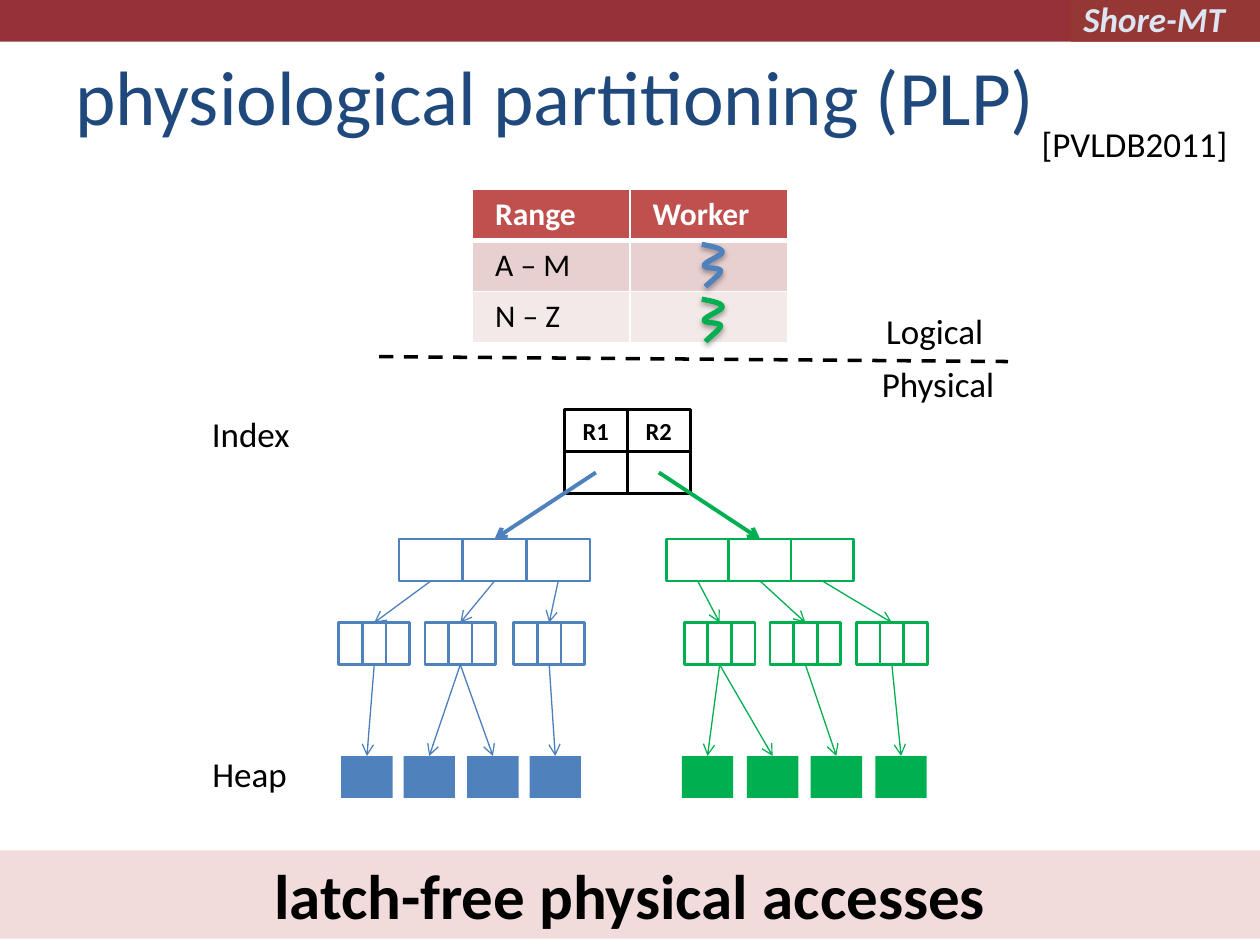
from lxml.etree import SubElement
from pptx import Presentation
from pptx.dml.color import RGBColor
from pptx.enum.dml import MSO_LINE
from pptx.enum.shapes import MSO_CONNECTOR, MSO_SHAPE
from pptx.enum.text import MSO_ANCHOR, PP_ALIGN
from pptx.oxml import parse_xml
from pptx.oxml.ns import nsdecls, qn
from pptx.util import Pt

FONT = "Calibri"
COLORS = {
    "bar": "963237", "badge": "953735", "badge_text": "DCE6F2",
    "title": "1F497D", "black": "000000", "white": "FFFFFF",
    "header": "C0504D", "odd_row": "E8D0D0", "even_row": "F4E9E9",
    "blue": "4F81BD", "blue_link": "4B7EBC", "green": "00B050",
    "band": "F2DCDB",
}
BOX_HEIGHT = 24
ROOT_LEFT, ROOT_TOP, ROOT_CELL = 322.5, 234, 36
NODE_TOP, LEAF_TOP, HEAP_TOP = 308, 355.8, 432
LEAF_CELL, PAGE_WIDTH = 13.5, 29.4

# Each partition: its index node, its leaves, its heap pages and the leaf owning each page
PARTITIONS = [
    {"color": "blue", "link": "blue_link", "node": 228, "cell": 36.4,
     "leaves": [193.6, 242.8, 293.6], "pages": [195, 230.6, 267, 302.6],
     "owners": [0, 1, 1, 2]},
    {"color": "green", "link": "green", "node": 380.9, "cell": 35.6,
     "leaves": [391, 440, 489.4], "pages": [389.6, 426.8, 463.2, 500.2],
     "owners": [0, 0, 1, 2]},
]

# Worker thread: Bezier pieces as offsets from the starting point
THREAD = [
    [(0, 0), (6, 1.1), (11.7, 2.2), (11.7, 4.4)],
    [(11.7, 4.4), (11.7, 6.4), (1.5, 10), (1.4, 12)],
    [(1.4, 12), (1.4, 14), (10.5, 13), (10.8, 15.1)],
    [(10.8, 15.1), (10.8, 17.2), (3.6, 22.3), (2.2, 24.2)],
]


def rgb(name):
    return RGBColor.from_string(COLORS[name])


def add_words(frame, words, size, color="black", bold=False, italic=False, align=None):
    paragraph = frame.paragraphs[0]
    if align is not None:
        paragraph.alignment = align
    run = paragraph.add_run()
    run.text = words
    font = run.font
    font.name, font.size, font.bold, font.italic = FONT, Pt(size), bold, italic
    font.color.rgb = rgb(color)


def add_label(slide, left, top, width, height, words, size=20, wrap=False,
              anchor=MSO_ANCHOR.TOP, **style):
    label = slide.shapes.add_textbox(Pt(left), Pt(top), Pt(width), Pt(height))
    label.text_frame.word_wrap = wrap
    label.text_frame.vertical_anchor = anchor
    add_words(label.text_frame, words, size, **style)


def add_box(slide, left, top, width, height, fill=None, line=None):
    box = slide.shapes.add_shape(MSO_SHAPE.RECTANGLE, Pt(left), Pt(top), Pt(width), Pt(height))
    box.shadow.inherit = False
    if fill:
        box.fill.solid()
        box.fill.fore_color.rgb = rgb(fill)
    else:
        box.fill.background()
    if line:
        box.line.color.rgb = rgb(line)
        box.line.width = Pt(1.5)
    else:
        box.line.fill.background()
    return box


def add_cells(slide, left, top, cell, color):
    for i in range(3):
        add_box(slide, left + i * cell, top, cell, BOX_HEIGHT, line=color)


def add_line(slide, start, end, color, width, arrow=True):
    line = slide.shapes.add_connector(
        MSO_CONNECTOR.STRAIGHT, Pt(start[0]), Pt(start[1]), Pt(end[0]), Pt(end[1]))
    line.line.color.rgb = rgb(color)
    line.line.width = Pt(width)
    if arrow:
        SubElement(line.line._get_or_add_ln(), qn("a:tailEnd"), type="arrow")
    else:
        line.line.dash_style = MSO_LINE.DASH
    SubElement(line._element.spPr, qn("a:effectLst"))


def bezier(points, t):
    weights = ((1 - t) ** 3, 3 * t * (1 - t) ** 2, 3 * t ** 2 * (1 - t), t ** 3)
    return tuple(sum(w * p[axis] for w, p in zip(weights, points)) for axis in (0, 1))


def add_thread(slide, left, top, color):
    steps = 10
    curve = [bezier(piece, i / steps) for piece in THREAD for i in range(1, steps + 1)]
    builder = slide.shapes.build_freeform(Pt(left), Pt(top))
    builder.add_line_segments([(Pt(left + x), Pt(top + y)) for x, y in curve], close=False)
    thread = builder.convert_to_shape()
    thread.fill.background()
    thread.line.color.rgb = rgb(color)
    thread.line.width = Pt(3)
    thread._element.spPr.append(parse_xml(
        f'<a:effectLst {nsdecls("a")}><a:outerShdw blurRad="{Pt(3.1)}" dist="{Pt(1.8)}" '
        f'dir="5400000" rotWithShape="0"><a:srgbClr val="{COLORS["black"]}">'
        '<a:alpha val="35000"/></a:srgbClr></a:outerShdw></a:effectLst>'))


def style_cell(cell, fill, widths):
    cell.margin_left = cell.margin_right = Pt(13)
    cell.margin_top = cell.margin_bottom = Pt(3.6)
    cell.fill.solid()
    cell.fill.fore_color.rgb = rgb(fill)
    for i, (side, width) in enumerate(widths.items()):
        cell._tc.get_or_add_tcPr().insert(i, parse_xml(
            f'<a:ln{side} {nsdecls("a")} w="{Pt(width)}"><a:solidFill>'
            f'<a:srgbClr val="{COLORS["white"]}"/></a:solidFill></a:ln{side}>'))


def add_range_table(slide):
    rows = [("Range", "Worker"), ("A – M", ""), ("N – Z", "")]
    fills = ["header", "odd_row", "even_row"]
    table = slide.shapes.add_table(3, 2, Pt(270), Pt(108), Pt(180), Pt(87.9)).table
    for r, (row, fill) in enumerate(zip(rows, fills)):
        widths = {"L": 1, "R": 1, "T": 3 if r == 1 else 1, "B": 3 if r == 0 else 1}
        for c, words in enumerate(row):
            cell = table.cell(r, c)
            style_cell(cell, fill, widths)
            if words:
                add_words(cell.text_frame, words, 18, "black" if r else "white", bold=r == 0)


def add_partition(slide, position, part):
    color, cell, node = part["color"], part["cell"], part["node"]
    leaf_centers = [left + 1.5 * LEAF_CELL for left in part["leaves"]]

    # Index node and leaves
    add_cells(slide, node, NODE_TOP, cell, color)
    for i, (left, center) in enumerate(zip(part["leaves"], leaf_centers)):
        add_cells(slide, left, LEAF_TOP, LEAF_CELL, color)
        add_line(slide, (node + (i + 0.5) * cell, NODE_TOP + BOX_HEIGHT),
                 (center, LEAF_TOP), color, 0.75)

    # Heap pages
    for left, owner in zip(part["pages"], part["owners"]):
        add_box(slide, left, HEAP_TOP, PAGE_WIDTH, BOX_HEIGHT, fill=color)
        add_line(slide, (leaf_centers[owner], LEAF_TOP + BOX_HEIGHT),
                 (left + PAGE_WIDTH / 2, HEAP_TOP), part["link"], 0.75)

    # Root entry
    left = ROOT_LEFT + position * ROOT_CELL
    key = add_box(slide, left, ROOT_TOP, ROOT_CELL, BOX_HEIGHT, line="black")
    add_words(key.text_frame, f"R{position + 1}", 14, bold=True, align=PP_ALIGN.CENTER)
    add_box(slide, left, ROOT_TOP + BOX_HEIGHT, ROOT_CELL, BOX_HEIGHT, line="black")


def main():
    prs = Presentation()
    prs.slide_width, prs.slide_height = Pt(720), Pt(540)
    slide = prs.slides.add_slide(prs.slide_layouts[6])

    # Top bar and title
    add_box(slide, 0, 0, 720, 23.8, fill="bar")
    add_box(slide, 612, 0, 108, 23.8, fill="badge")
    add_label(slide, 612, -5, 102, 31.5, "Shore-MT", wrap=True,
              color="badge_text", bold=True, italic=True)
    add_label(slide, 36, 21.6, 648, 62.6, "physiological partitioning (PLP)", 44,
              wrap=True, anchor=MSO_ANCHOR.BOTTOM, color="title")
    add_label(slide, 588.2, 66.2, 121.7, 31.5, "[PVLDB2011]")

    # Logical level
    add_range_table(slide)
    add_thread(slide, 401, 139.7, "blue")
    add_thread(slide, 401, 171, "green")
    add_line(slide, (216.7, 203.8), (576, 206.6), "black", 2, arrow=False)

    # Physical level, with the root pointers on top
    for position, part in enumerate(PARTITIONS):
        add_partition(slide, position, part)
    for position, part in enumerate(PARTITIONS):
        add_line(slide, (ROOT_LEFT + (position + 0.5) * ROOT_CELL, ROOT_TOP + 1.5 * BOX_HEIGHT),
                 (part["node"] + 1.5 * part["cell"], NODE_TOP), part["color"], 2.25)

    # Level names
    for words, left, top, width in [("Logical", 498.2, 173.5, 72), ("Physical", 496.1, 203.8, 80),
                                    ("Index", 113.8, 232, 59), ("Heap", 113.8, 426.2, 57.6)]:
        add_label(slide, left, top, width, 31.5, words, align=PP_ALIGN.CENTER)

    # Conclusion
    band = add_box(slide, 0, 486, 720, 50.4, fill="band")
    band.text_frame.margin_top = band.text_frame.margin_bottom = 0
    add_words(band.text_frame, "latch-free physical accesses", 36, bold=True,
              align=PP_ALIGN.CENTER)

    prs.save("out.pptx")


if __name__ == "__main__":
    main()
